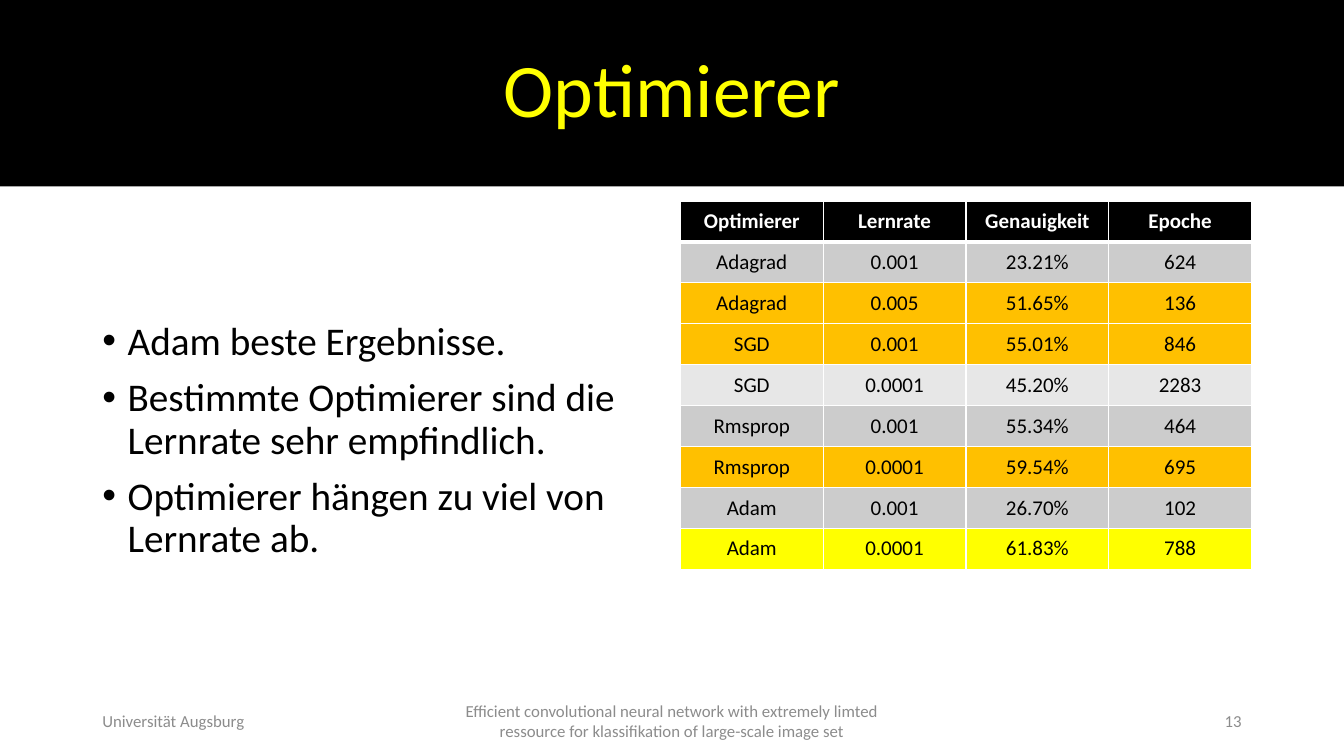
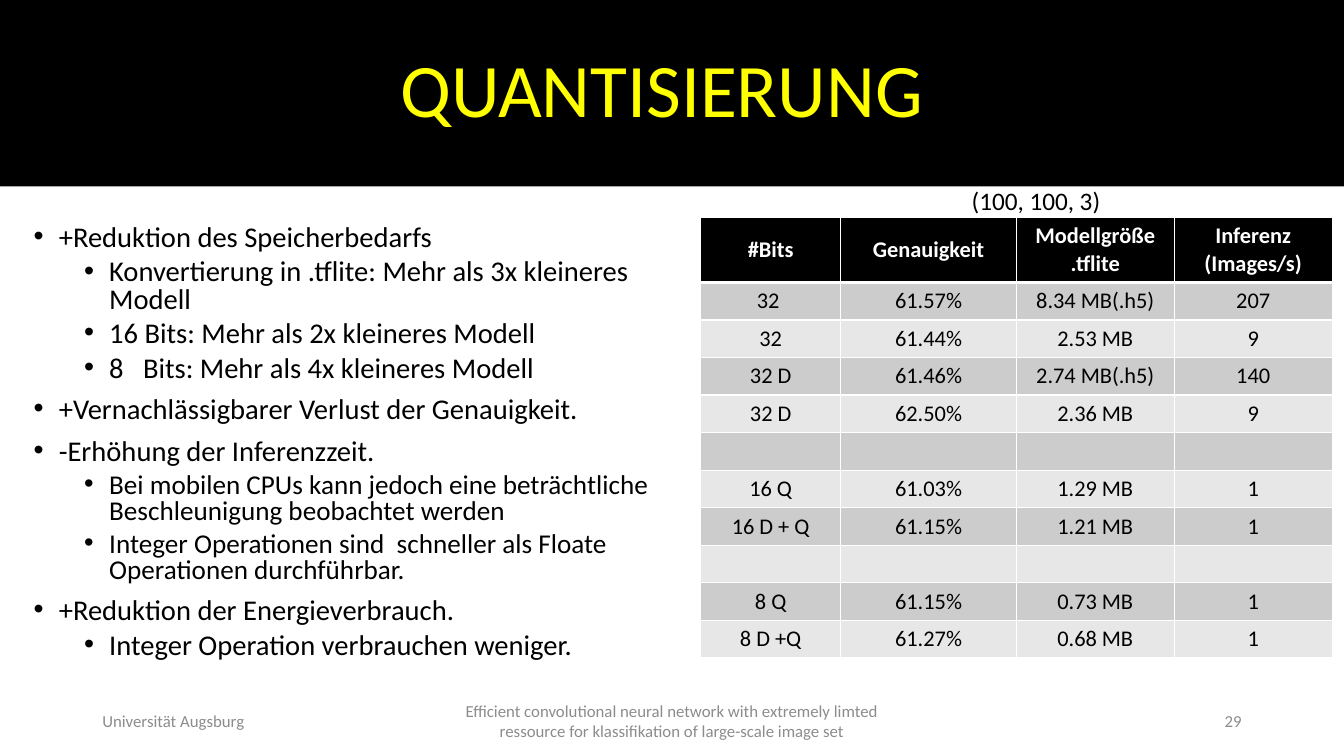
from dataclasses import dataclass

from lxml.etree import SubElement
from pptx import Presentation
from pptx.dml.color import RGBColor
from pptx.enum.text import MSO_ANCHOR, MSO_AUTO_SIZE, PP_ALIGN
from pptx.oxml.ns import qn
from pptx.util import Pt

EMU_PER_PX = 7620  # 120 px to the inch


@dataclass(frozen=True)
class Theme:
    font: str = "Calibri"
    black: str = "000000"
    white: str = "FFFFFF"
    yellow: str = "FFFF00"
    amber: str = "FFC000"
    footer_gray: str = "8C8C8C"
    bands: tuple = ("CCCCCC", "E7E7E7")
    title_size: float = 54
    footer_size: float = 12
    caption_size: float = 18
    rule_width: float = 1
    header_rule_width: float = 3


THEME = Theme()
SLIDE_SIZE = (1600, 900)
TITLE_BAND = (0, 0, 1600, 222)
INSET = 12
BULLET_INDENT = 30
LEVEL_INDENT = 60
SPACE_BEFORE = (10, 5)

FOOTER_TOP, FOOTER_HEIGHT = 834, 48
UNIVERSITY = "Universität Augsburg"
THESIS = ("Efficient convolutional neural network with extremely limted "
          "ressource for klassifikation of large-scale image set")

SLIDES = [
    {
        "title": "Optimierer",
        "number": "13",
        "body": {
            "box": (110, 240, 680, 571), "line_spacing": 0.9,
            "items": [
                (0, 28, "Adam beste Ergebnisse."),
                (0, 28, "Bestimmte Optimierer sind die Lernrate sehr empfindlich."),
                (0, 28, "Optimierer hängen zu viel von Lernrate ab."),
            ],
        },
        "table": {
            "at": (810, 240), "columns": [170] * 4, "height": 438,
            "header_height": 48, "size": 15, "margins": (5, 5),
            "highlights": {2: THEME.amber, 3: THEME.amber,
                           6: THEME.amber, 8: THEME.yellow},
            "rows": [
                ("Optimierer", "Lernrate", "Genauigkeit", "Epoche"),
                ("Adagrad", "0.001", "23.21%", "624"),
                ("Adagrad", "0.005", "51.65%", "136"),
                ("SGD", "0.001", "55.01%", "846"),
                ("SGD", "0.0001", "45.20%", "2283"),
                ("Rmsprop", "0.001", "55.34%", "464"),
                ("Rmsprop", "0.0001", "59.54%", "695"),
                ("Adam", "0.001", "26.70%", "102"),
                ("Adam", "0.0001", "61.83%", "788"),
            ],
        },
    },
    {
        "title": "QUANTISIERUNG",
        "title_shift": 24,
        "number": "29",
        "body": {
            "box": (28, 242, 816, 571), "line_spacing": 0.8,
            "items": [
                (0, 20.4, "+Reduktion des Speicherbedarfs"),
                (1, 20.4, "Konvertierung in .tflite: Mehr als 3x kleineres Modell"),
                (1, 20.4, "16 Bits: Mehr als 2x kleineres Modell"),
                (1, 20.4, "8   Bits: Mehr als 4x kleineres Modell"),
                (0, 20.4, "+Vernachlässigbarer Verlust der Genauigkeit."),
                (0, 20.4, "-Erhöhung der Inferenzzeit."),
                (1, 19.4, "Bei mobilen CPUs kann jedoch eine beträchtliche "
                          "Beschleunigung beobachtet werden"),
                (1, 19.4, "Integer Operationen sind  schneller als Floate "
                          "Operationen durchführbar."),
                (0, 20.4, "+Reduktion der Energieverbrauch."),
                (1, 20.4, "Integer Operation verbrauchen weniger."),
            ],
        },
        "table": {
            "at": (834, 259), "columns": [167, 209, 188, 188], "height": 524,
            "header_height": 77, "size": 16, "margins": (12, 6),
            "highlights": {},
            "rows": [
                ("#Bits", "Genauigkeit", "Modellgröße\n.tflite", "Inferenz\n(Images/s)"),
                ("32 ", "61.57%", "8.34 MB(.h5)", "207"),
                ("32", "61.44%", "2.53 MB", "9"),
                ("32 D", "61.46%", "2.74 MB(.h5)", "140"),
                ("32 D", "62.50%", "2.36 MB", "9"),
                ("",) * 4,
                ("16 Q", "61.03%", "1.29 MB", "1"),
                ("16 D + Q", "61.15%", "1.21 MB", "1"),
                ("",) * 4,
                ("8 Q", "61.15%", "0.73 MB", "1"),
                ("8 D +Q", "61.27%", "0.68 MB", "1"),
            ],
        },
        "caption": ("(100, 100, 3)", (1145, 215, 179, 48)),
    },
]


def px(length):
    return round(length * EMU_PER_PX)


def set_attributes(target, values):
    for name, value in values.items():
        setattr(target, name, value)


def place(shape, box):
    set_attributes(shape, dict(zip(("left", "top", "width", "height"), map(px, box))))


def style_font(font, size, color, bold=False):
    set_attributes(font, {"name": THEME.font, "size": Pt(size), "bold": bold})
    font.color.rgb = RGBColor.from_string(color)


def style_frame(frame, anchor=MSO_ANCHOR.MIDDLE, wrap=True):
    set_attributes(frame, {
        "auto_size": MSO_AUTO_SIZE.NONE, "word_wrap": wrap, "vertical_anchor": anchor,
        "margin_left": px(INSET), "margin_right": px(INSET),
        "margin_top": px(INSET / 2), "margin_bottom": px(INSET / 2),
    })


def fill_title(shape, text, shift):
    """Centre the title on the band, moved left by half of shift."""
    place(shape, TITLE_BAND)
    shape.fill.solid()
    shape.fill.fore_color.rgb = RGBColor.from_string(THEME.black)
    frame = shape.text_frame
    style_frame(frame)
    frame.margin_right = px(INSET + shift)
    frame.text = text
    paragraph = frame.paragraphs[0]
    set_attributes(paragraph, {"alignment": PP_ALIGN.CENTER, "line_spacing": 0.9})
    style_font(paragraph.runs[0].font, THEME.title_size, THEME.yellow)


def fill_body(shape, body):
    place(shape, body["box"])
    frame = shape.text_frame
    style_frame(frame)
    frame.text = "\n".join(text for _, _, text in body["items"])
    for paragraph, (level, size, _) in zip(frame.paragraphs, body["items"]):
        set_attributes(paragraph, {
            "level": level, "line_spacing": body["line_spacing"],
            "space_before": Pt(SPACE_BEFORE[level]), "space_after": Pt(0),
            "alignment": PP_ALIGN.LEFT,
        })
        properties = paragraph._p.get_or_add_pPr()
        properties.set("marL", str(px(BULLET_INDENT + level * LEVEL_INDENT)))
        properties.set("indent", str(px(-BULLET_INDENT)))
        SubElement(properties, qn("a:buFont"), typeface="Arial")
        SubElement(properties, qn("a:buChar"), char="•")
        style_font(paragraph.runs[0].font, size, THEME.black)


def add_text(slide, text, box, size, color, alignment=PP_ALIGN.LEFT, **frame_style):
    frame = slide.shapes.add_textbox(*map(px, box)).text_frame
    style_frame(frame, **frame_style)
    frame.text = text
    paragraph = frame.paragraphs[0]
    paragraph.alignment = alignment
    style_font(paragraph.runs[0].font, size, color)


def add_footer(slide, number):
    for text, left, width, alignment in (
        (UNIVERSITY, 110, 360, PP_ALIGN.LEFT),
        (THESIS, 530, 540, PP_ALIGN.CENTER),
        (number, 1130, 360, PP_ALIGN.RIGHT),
    ):
        add_text(slide, text, (left, FOOTER_TOP, width, FOOTER_HEIGHT),
                 THEME.footer_size, THEME.footer_gray, alignment)


def set_borders(cell, row):
    """White rules, heavier between the header and the first row."""
    heavy_side = {0: "B", 1: "T"}.get(row)
    properties = cell._tc.get_or_add_tcPr()
    for side in "LRTB":
        width = THEME.header_rule_width if side == heavy_side else THEME.rule_width
        line = SubElement(properties, qn(f"a:ln{side}"), w=str(Pt(width)))
        SubElement(SubElement(line, qn("a:solidFill")), qn("a:srgbClr"), val=THEME.white)


def fill_cell(cell, text, row, spec_values):
    is_header = row == 0
    side_margin, end_margin = map(px, spec_values["margins"])
    set_attributes(cell, {
        "margin_left": side_margin, "margin_right": side_margin,
        "margin_top": end_margin, "margin_bottom": end_margin,
        "vertical_anchor": MSO_ANCHOR.MIDDLE,
    })
    set_borders(cell, row)
    band = THEME.black if is_header else THEME.bands[(row - 1) % 2]
    cell.fill.solid()
    cell.fill.fore_color.rgb = RGBColor.from_string(spec_values["highlights"].get(row, band))
    cell.text = text
    for paragraph in cell.text_frame.paragraphs:
        paragraph.alignment = PP_ALIGN.CENTER
        for run in paragraph.runs:
            style_font(run.font, spec_values["size"],
                       THEME.white if is_header else THEME.black, is_header)
        if not text:
            SubElement(paragraph._p, qn("a:endParaRPr"), sz=str(spec_values["size"] * 100))


def add_result_table(slide, values):
    rows, columns = values["rows"], values["columns"]
    box = (*values["at"], sum(columns), values["height"])
    table = slide.shapes.add_table(len(rows), len(columns), *map(px, box)).table
    for column, width in zip(table.columns, columns):
        column.width = px(width)
    header_height = values["header_height"]
    row_height = (values["height"] - header_height) / (len(rows) - 1)
    for row, texts in enumerate(rows):
        table.rows[row].height = px(row_height if row else header_height)
        for column, text in enumerate(texts):
            fill_cell(table.cell(row, column), text, row, values)


def build_slide(presentation, content):
    slide = presentation.slides.add_slide(presentation.slide_layouts[1])
    fill_title(slide.shapes.title, content["title"], content.get("title_shift", 0))
    fill_body(slide.placeholders[1], content["body"])
    add_result_table(slide, content["table"])
    add_footer(slide, content["number"])
    if "caption" in content:
        text, box = content["caption"]
        add_text(slide, text, box, THEME.caption_size, THEME.black,
                 anchor=MSO_ANCHOR.TOP, wrap=False)


def main():
    presentation = Presentation()
    presentation.slide_width, presentation.slide_height = map(px, SLIDE_SIZE)
    for content in SLIDES:
        build_slide(presentation, content)
    presentation.save("out.pptx")


if __name__ == "__main__":
    main()
